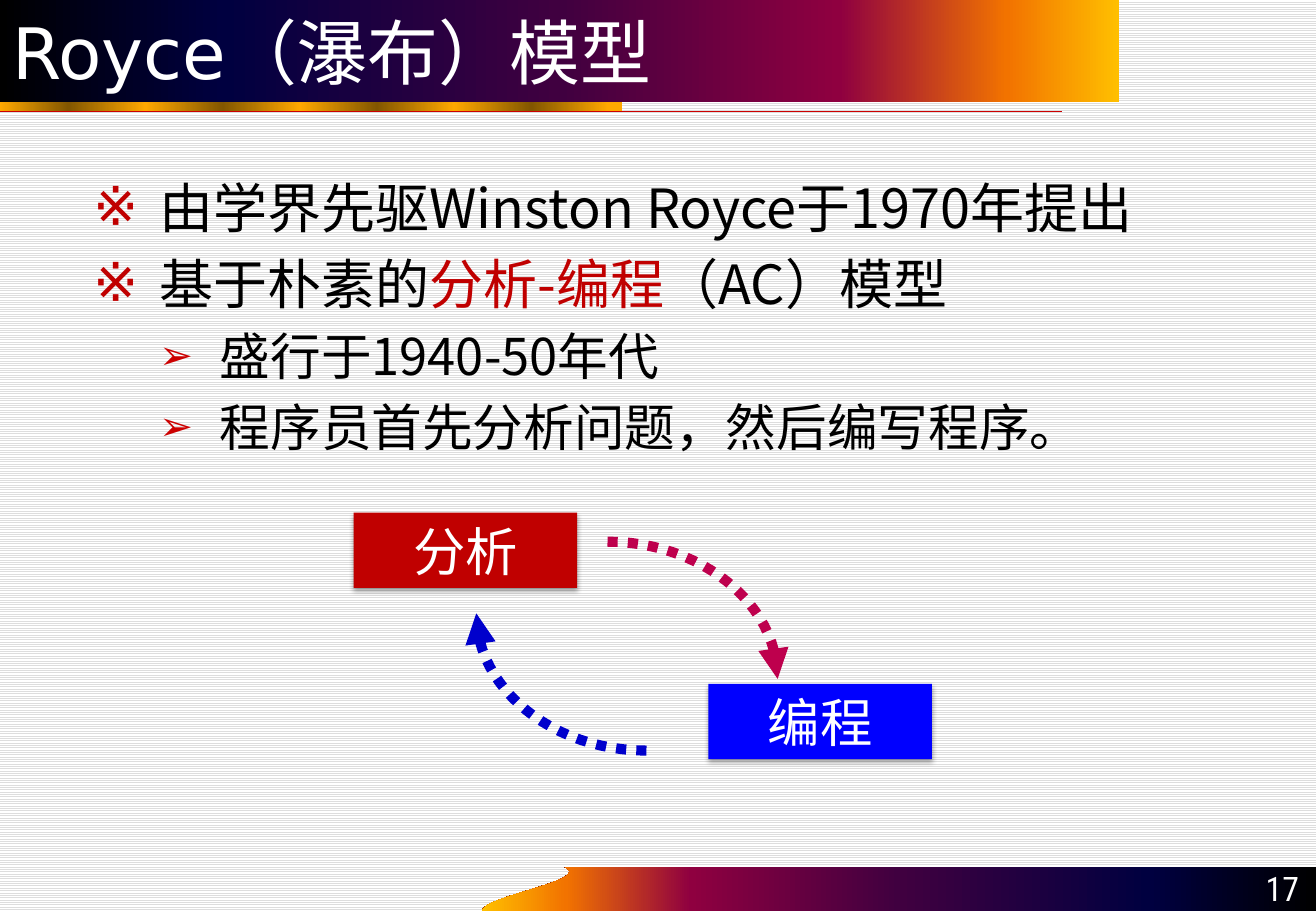
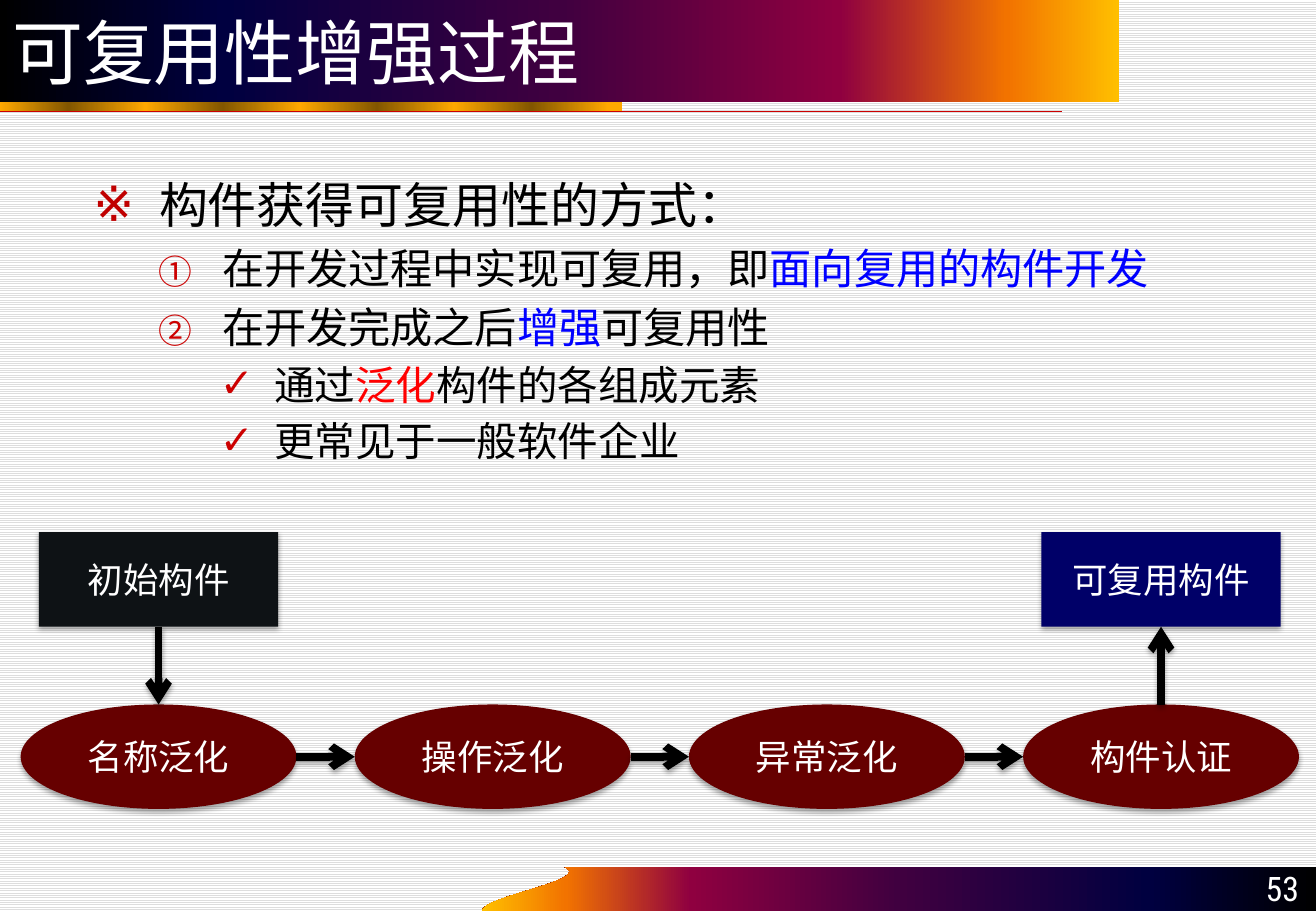
from lxml import etree
from pptx import Presentation
from pptx.dml.color import RGBColor
from pptx.enum.dml import MSO_LINE, MSO_PATTERN
from pptx.enum.shapes import MSO_CONNECTOR, MSO_SHAPE
from pptx.enum.text import MSO_ANCHOR, MSO_AUTO_SIZE, PP_ALIGN
from pptx.oxml.ns import qn
from pptx.util import Inches, Pt

RECT, OVAL = MSO_SHAPE.RECTANGLE, MSO_SHAPE.OVAL
STRAIGHT, DOTS = MSO_CONNECTOR.STRAIGHT, MSO_LINE.ROUND_DOT
LEFT, RIGHT, CENTER = PP_ALIGN.LEFT, PP_ALIGN.RIGHT, PP_ALIGN.CENTER
MIDDLE, BOTTOM = MSO_ANCHOR.MIDDLE, MSO_ANCHOR.BOTTOM
HEAD_FONT, FONT, NUM_FONT = "DejaVu Sans", "Noto Sans CJK SC", "Roboto Condensed"
WHITE, BLACK, RED, BLUE = "FFFFFF", "000000", "C00000", "0000FF"
SIGNAL, MAROON = "CC0000", "660000"
SUNSET = [(0, "000000"), (20, "000040"), (50, "400040"),
          (75, "8F0040"), (90, "F27300"), (100, "FFBF00")]
GOLD = ([(0, "FFA800")]
        + [(11 + 12.4 * i, ("825600", "FFA800")[i % 2]) for i in range(8)])

# kind: (level, indent, hang, bullet, colour, size in percent)
STAR = (0, 0.54, 0.54, "※", RED, 100)
ARROW = (1, 1.04, 0.5, "➢", SIGNAL, 80)
COUNT = (1, 1.06, 0.52, None, SIGNAL, 80)
CHECK = (2, 1.49, 0.45, "✓", SIGNAL, 100)


def rgb(code):
    """Turn a hex string into a colour."""
    return RGBColor.from_string(code)


def sub(parent, tag, **attrs):
    """Append a drawing element with its attributes."""
    node = etree.SubElement(parent, qn("a:" + tag))
    for key, value in attrs.items():
        node.set(key, str(value))
    return node


def blend(shape, stops, angle=0):
    """Fill a shape with a linear gradient."""
    shape.fill.gradient()
    grad = shape.element.spPr.find(qn("a:gradFill"))
    for child in list(grad):
        grad.remove(child)
    group = sub(grad, "gsLst")
    for pos, code in stops:
        stop = sub(group, "gs", pos=round(pos * 1000))
        sub(stop, "srgbClr", val=code)
    sub(grad, "lin", ang=angle * 60000, scaled=0)


def shade(shape, show=True):
    """Give a shape a soft drop shadow, or none."""
    props = shape.element.spPr
    for old in props.findall(qn("a:effectLst")):
        props.remove(old)
    effects = sub(props, "effectLst")
    if show:
        drop = sub(effects, "outerShdw", blurRad=Pt(3.1), dist=Pt(1.8),
                   dir=5400000, rotWithShape=0)
        sub(sub(drop, "srgbClr", val=BLACK), "alpha", val=35000)


def write(para, text, size, code=WHITE, name=FONT):
    """Add one run of text."""
    run = para.add_run()
    run.text = text
    run.font.size = Pt(size)
    run.font.name = name
    run.font.color.rgb = rgb(code)
    sub(run.font._element, "ea", typeface=name)


def bullet(para, kind):
    """Set level, indent and bullet of a paragraph."""
    level, indent, hang, mark, code, scale = kind
    para.level = level
    props = para._p.get_or_add_pPr()
    props.set("marL", str(Inches(indent)))
    props.set("indent", str(-Inches(hang)))
    sub(sub(props, "buClr"), "srgbClr", val=code)
    sub(props, "buSzPct", val=scale * 1000)
    if mark:
        sub(props, "buFont", typeface=HEAD_FONT)
        sub(props, "buChar", char=mark)
    else:
        sub(props, "buFont", typeface="+mj-lt")
        sub(props, "buAutoNum", type="circleNumDbPlain")


def body(slide, rows):
    """Place the bulleted text; a row is kind, size and runs."""
    box = slide.shapes.add_textbox(Inches(0.67), Inches(1.39), Inches(9.48), Inches(2.52))
    frame = box.text_frame
    frame.word_wrap = True
    for i, (kind, size, runs) in enumerate(rows):
        para = frame.add_paragraph() if i else frame.paragraphs[0]
        bullet(para, kind)
        para.space_before = Pt(0.2 * size if i else 0)
        for text, code in runs:
            write(para, text, size, code)


def block(slide, shape, x, y, w, h, code, text, size):
    """Add a filled shape with a centred label."""
    item = slide.shapes.add_shape(shape, Inches(x), Inches(y), Inches(w), Inches(h))
    item.fill.solid()
    item.fill.fore_color.rgb = rgb(code)
    item.line.fill.background()
    shade(item)
    frame = item.text_frame
    frame.word_wrap = False
    frame.vertical_anchor = MIDDLE
    para = frame.paragraphs[0]
    para.alignment = CENTER
    write(para, text, size)
    return item


def rule(slide, x1, y1, x2, y2, code, width):
    """Draw a straight line."""
    line = slide.shapes.add_connector(STRAIGHT, Inches(x1), Inches(y1), Inches(x2), Inches(y2))
    line.line.color.rgb = rgb(code)
    line.line.width = Pt(width)
    shade(line, False)
    return line


def arrow(slide, x1, y1, x2, y2):
    """Draw a thick black arrow."""
    line = rule(slide, x1, y1, x2, y2, BLACK, 4.5)
    sub(line.line._get_or_add_ln(), "tailEnd", type="arrow")
    shade(line)
    return line


def curve(a, b, c, d, steps=24):
    """List points along a cubic curve."""
    return [tuple((1 - t) ** 3 * p + 3 * (1 - t) ** 2 * t * q
                  + 3 * (1 - t) * t ** 2 * r + t ** 3 * s
                  for p, q, r, s in zip(a, b, c, d))
            for t in (i / steps for i in range(steps + 1))]


def trace(slide, points, close):
    """Draw an outline through points given in inches."""
    spots = [(Inches(x), Inches(y)) for x, y in points]
    pen = slide.shapes.build_freeform(*spots[0])
    pen.add_line_segments(spots[1:], close=close)
    return pen.convert_to_shape()


def sweep(slide, points, code):
    """Draw a dotted curve that ends in an arrowhead."""
    arc = trace(slide, curve(*points), False)
    arc.fill.background()
    arc.line.color.rgb = rgb(code)
    arc.line.width = Pt(6)
    arc.line.dash_style = DOTS
    sub(arc.line._get_or_add_ln(), "tailEnd", type="triangle")
    shade(arc, False)


def dress(slide, layout):
    """Draw the shared bands and move them to the layout."""
    foot = trace(slide, [(4.65, 7.14), (10.83, 7.14), (10.83, 7.5)]
                 + curve((3.97, 7.5), (3.97, 7.38), (4.87, 7.25), (4.65, 7.14)), True)
    strip = slide.shapes.add_shape(RECT, 0, Inches(0.76), Inches(5.12), Inches(0.16))
    for band, stops, angle in ((foot, SUNSET, 180), (strip, GOLD, 0)):
        blend(band, stops, angle)
        band.line.fill.background()
        band.shadow.inherit = False
        layout.shapes.element.append(band.element)


def start(deck, layout, title, number):
    """Add a slide with its title, red line and number."""
    slide = deck.slides.add_slide(layout)
    head = slide.shapes.title
    head.left, head.top, head.width, head.height = 0, 0, Inches(9.21), Inches(0.84)
    blend(head, SUNSET)
    rule(slide, 0, 0.92, 8.74, 0.92, SIGNAL, 0.75)
    page = slide.shapes.add_textbox(Inches(9.83), Inches(7.13), Inches(0.96), Inches(0.4))
    for box, text, size, name, side, anchor in (
            (head, title, 42, HEAD_FONT, LEFT, MIDDLE),
            (page, number, 20, NUM_FONT, RIGHT, BOTTOM)):
        frame = box.text_frame
        frame.auto_size = MSO_AUTO_SIZE.NONE
        frame.word_wrap = True
        frame.vertical_anchor = anchor
        para = frame.paragraphs[0]
        para.alignment = side
        write(para, text, size, name=name)
    return slide


def royce(slide):
    """Fill the slide on the waterfall model."""
    body(slide, [
        (STAR, 32, [("由学界先驱Winston Royce于1970年提出", BLACK)]),
        (STAR, 32, [("基于朴素的", BLACK), ("分析-编程", RED), ("（AC）模型", BLACK)]),
        (ARROW, 30, [("盛行于1940-50年代", BLACK)]),
        (ARROW, 30, [("程序员首先分析问题，然后编写程序。", BLACK)])])
    sweep(slide, [(5, 4.46), (5.77, 4.46), (6.4, 4.97), (6.4, 5.59)], "BE004D")
    block(slide, RECT, 2.91, 4.22, 1.84, 0.62, RED, "分析", 31)
    block(slide, RECT, 5.83, 5.63, 1.84, 0.62, BLUE, "编程", 31)
    sweep(slide, [(5.32, 6.18), (4.55, 6.18), (3.92, 5.67), (3.92, 5.05)], "0000CC")


def reuse(slide):
    """Fill the slide on raising reusability."""
    body(slide, [
        (STAR, 29, [("构件获得可复用性的方式：", BLACK)]),
        (COUNT, 25, [("在开发过程中实现可复用，即", BLACK), ("面向复用的构件开发", BLUE)]),
        (COUNT, 25, [("在开发完成之后", BLACK), ("增强", BLUE), ("可复用性", BLACK)]),
        (CHECK, 24, [("通过", BLACK), ("泛化", "FF0000"), ("构件的各组成元素", BLACK)]),
        (CHECK, 24, [("更常见于一般软件企业", BLACK)])])
    left, step, wide = 0.17, 2.75, 2.27
    names = ["名称泛化", "操作泛化", "异常泛化", "构件认证"]
    ovals = []
    for i, name in enumerate(names):
        x = left + step * i
        ovals.append(block(slide, OVAL, x, 5.8, wide, 0.86, MAROON, name, 21))
        if i:
            arrow(slide, x - step + wide, 6.23, x, 6.23)
    first = block(slide, RECT, 0.32, 4.38, 1.97, 0.78, "0E1215", "初始构件", 21)
    last = block(slide, RECT, 8.57, 4.38, 1.97, 0.78, "000068", "可复用构件", 21)
    for a, i, b, j in ((first, 2, ovals[0], 0), (ovals[-1], 0, last, 2)):
        line = arrow(slide, 0, 0, 1, 1)
        line.begin_connect(a, i)
        line.end_connect(b, j)


def main():
    """Build the deck."""
    deck = Presentation()
    deck.slide_width, deck.slide_height = Inches(10.83), Inches(7.5)
    paper = deck.slide_master.background.fill
    paper.patterned()
    paper.pattern = MSO_PATTERN.LIGHT_HORIZONTAL
    paper.fore_color.rgb, paper.back_color.rgb = rgb("DDDDDD"), rgb(WHITE)
    layout = deck.slide_layouts[5]
    slide = start(deck, layout, "Royce（瀑布）模型", "17")
    dress(slide, layout)
    royce(slide)
    reuse(start(deck, layout, "可复用性增强过程", "53"))
    deck.save("out.pptx")


if __name__ == "__main__":
    main()
